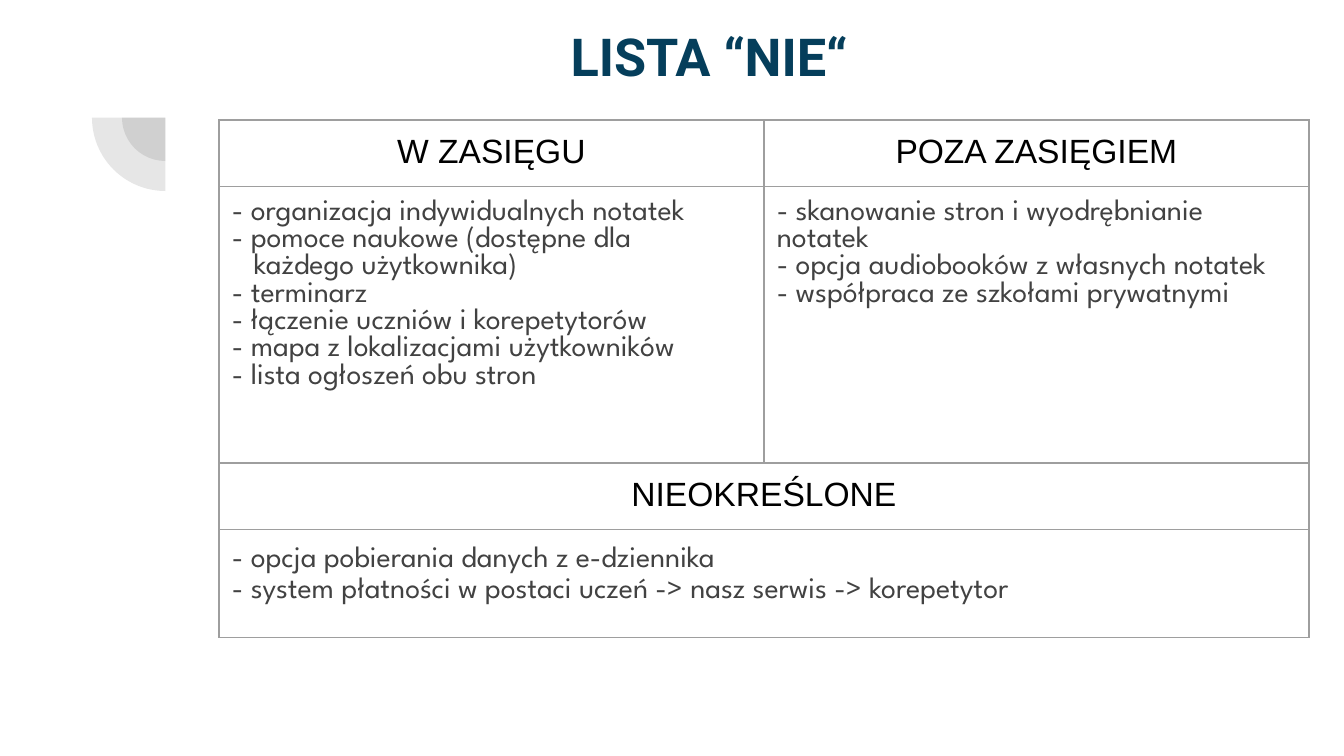
from dataclasses import dataclass
from lxml.etree import SubElement
from pptx import Presentation
from pptx.dml.color import RGBColor as Rgb
from pptx.enum.shapes import MSO_SHAPE as Shape
from pptx.enum.text import MSO_ANCHOR as Anchor, PP_ALIGN as Align
from pptx.oxml import parse_xml
from pptx.oxml.ns import nsdecls, qn
from pptx.util import Emu, Pt


@dataclass(frozen=True)
class Theme:
    """Colours, fonts and type sizes of the slide."""
    navy: str = "053E5B"
    black: str = "000000"
    gray: str = "424242"
    rule: str = "9E9E9E"
    title: tuple = ("Roboto", 28)
    head: tuple = ("Arial", 18)
    body: tuple = ("League Spartan", 16)
    alpha: int = 13000


THEME = Theme()
PAD = 13
HANG = 22
COLS = (545, 545)
ROWS = (64, 218, 64, 90)
INSIDE = (
    "- organizacja indywidualnych notatek",
    "- pomoce naukowe (dostępne dla\vkażdego użytkownika)",
    "- terminarz",
    "- łączenie uczniów i korepetytorów",
    "- mapa z lokalizacjami użytkowników",
    "- lista ogłoszeń obu stron",
)
OUTSIDE = (
    "- skanowanie stron i wyodrębnianie notatek",
    "- opcja audiobooków z własnych notatek",
    "- współpraca ze szkołami prywatnymi",
)
OPEN = (
    "- opcja pobierania danych z e-dziennika",
    "- system płatności w postaci uczeń -> nasz serwis -> korepetytor",
)


def px(num):
    """Turn whole pixels into EMU."""
    return Emu(round(num * 914400 / 134.4))


def pad(box):
    """Set equal margins on a cell or text frame."""
    box.margin_left = box.margin_right = px(PAD)
    box.margin_top = box.margin_bottom = px(PAD)


def style(para, face, color, bold=False):
    """Set the font of a paragraph."""
    font = para.font
    font.name, size = face
    font.size = Pt(size)
    font.bold = bold
    font.color.rgb = Rgb.from_string(color)


def add_title(slide, text):
    """Add the centred title."""
    box = slide.shapes.add_textbox(px(192), px(11), px(1034), px(147))
    frame = box.text_frame
    frame.word_wrap = True
    frame.vertical_anchor = Anchor.TOP
    pad(frame)
    para = frame.paragraphs[0]
    para.text = text
    para.alignment = Align.CENTER
    style(para, THEME.title, THEME.navy, True)


def add_pie(slide, x, y, size):
    """Add a translucent quarter disc."""
    pie = slide.shapes.add_shape(Shape.PIE, px(x), px(y), px(size), px(size))
    pie.adjustments[0], pie.adjustments[1] = 108, 162
    pie.rotation = 270
    pie.shadow.inherit = False
    pie.line.fill.background()
    pie.fill.solid()
    pie.fill.fore_color.rgb = Rgb.from_string(THEME.gray)
    tint = pie.fill._xPr.find(".//" + qn("a:srgbClr"))
    SubElement(tint, qn("a:alpha"), val=str(THEME.alpha))


def add_rules(cell):
    """Draw thin lines on all sides of a cell."""
    props = cell._tc.get_or_add_tcPr()
    for spot, side in enumerate("LRTB"):
        props.insert(spot, parse_xml(
            f'<a:ln{side} {nsdecls("a")} w="{Pt(0.75)}"><a:solidFill>'
            f'<a:srgbClr val="{THEME.rule}"/></a:solidFill></a:ln{side}>'))


def fill_head(cell, text):
    """Write a centred heading in a cell."""
    cell.text = text
    para = cell.text_frame.paragraphs[0]
    para.alignment = Align.CENTER
    style(para, THEME.head, THEME.black)


def fill_list(cell, items, gap=1.0):
    """Write one paragraph for each item in a cell."""
    cell.text = "\n".join(items)
    for para in cell.text_frame.paragraphs:
        para.line_spacing = gap
        style(para, THEME.body, THEME.gray)
        if "\v" in para.text:
            props = para._p.get_or_add_pPr()
            props.set("marL", str(px(HANG)))
            props.set("indent", str(-px(HANG)))


def add_grid(slide):
    """Add the scope table."""
    grid = slide.shapes.add_table(
        len(ROWS), len(COLS), px(219), px(120), px(sum(COLS)), px(sum(ROWS))).table
    grid.first_row = grid.horz_banding = False
    for col, wide in zip(grid.columns, COLS):
        col.width = px(wide)
    for row, high in zip(grid.rows, ROWS):
        row.height = px(high)
    for cell in grid.iter_cells():
        pad(cell)
        cell.fill.background()
        add_rules(cell)
    for row in (2, 3):
        grid.cell(row, 0).merge(grid.cell(row, 1))
    fill_head(grid.cell(0, 0), "W ZASIĘGU")
    fill_head(grid.cell(0, 1), "POZA ZASIĘGIEM")
    fill_head(grid.cell(2, 0), "NIEOKREŚLONE")
    fill_list(grid.cell(1, 0), INSIDE)
    fill_list(grid.cell(1, 1), OUTSIDE)
    fill_list(grid.cell(3, 0), OPEN, 1.15)


def main():
    """Build and save the slide."""
    deck = Presentation()
    deck.slide_width, deck.slide_height = px(1344), px(756)
    slide = deck.slides.add_slide(deck.slide_layouts[6])
    add_pie(slide, 122, 74, 87)
    add_pie(slide, 92, 44, 147)
    add_title(slide, "LISTA “NIE“")
    add_grid(slide)
    deck.save("out.pptx")


if __name__ == "__main__":
    main()
